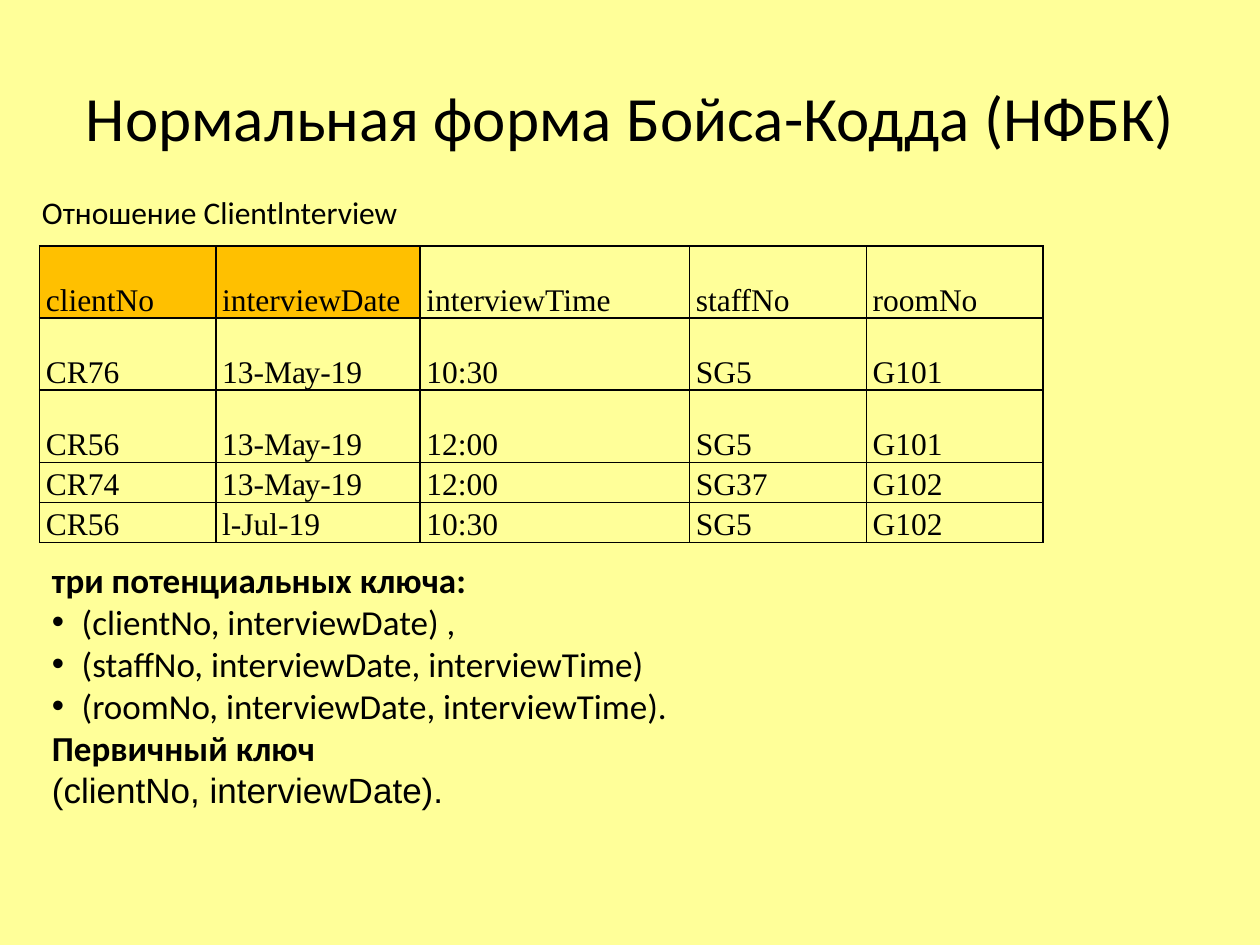
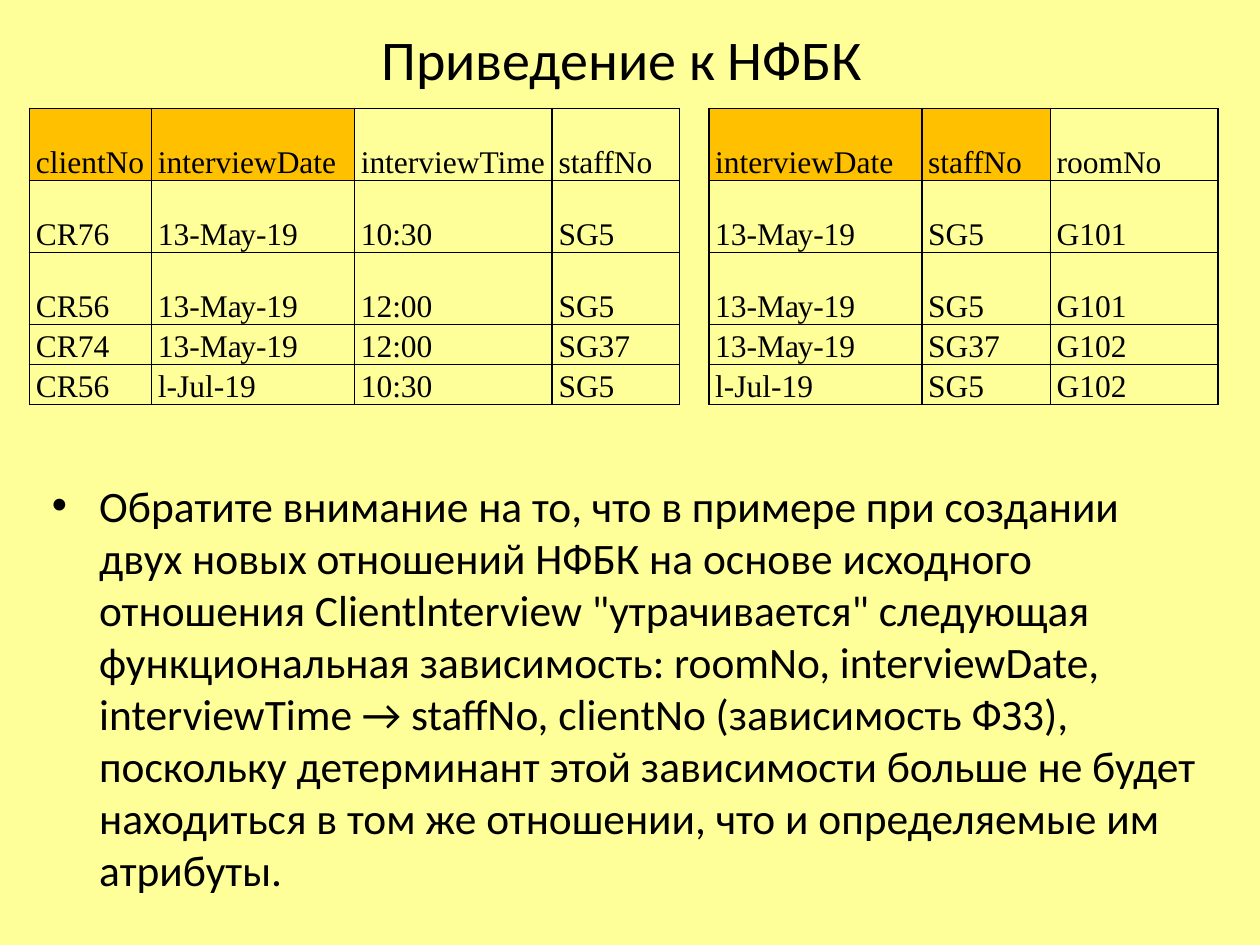
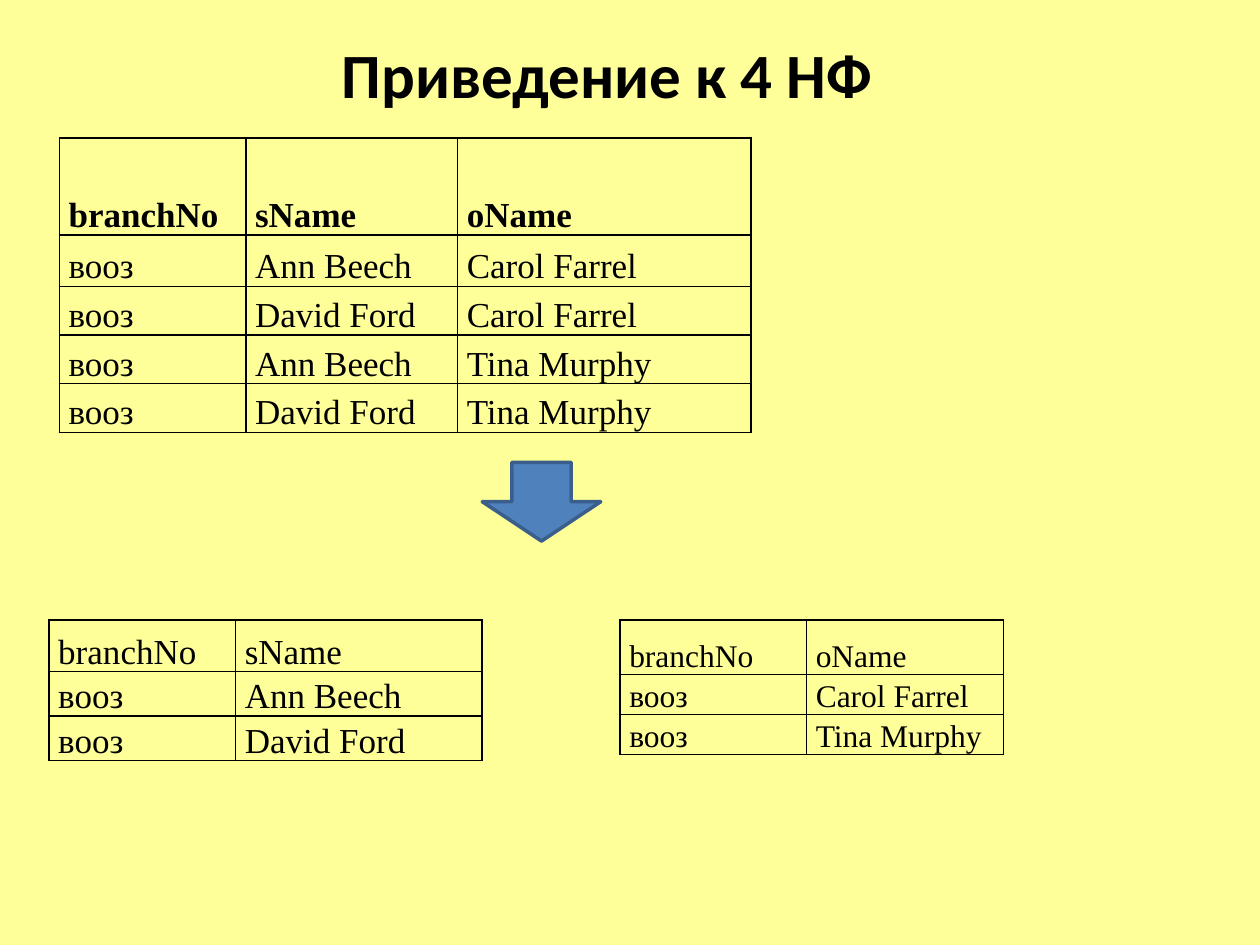
"""Build three slides on the Boyce-Codd and fourth normal forms."""
from dataclasses import dataclass

from lxml import etree
from pptx import Presentation
from pptx.dml.color import RGBColor
from pptx.enum.shapes import MSO_SHAPE
from pptx.enum.text import MSO_ANCHOR, PP_ALIGN
from pptx.oxml.ns import qn
from pptx.util import Pt

TOP, MIDDLE, BOTTOM = MSO_ANCHOR.TOP, MSO_ANCHOR.MIDDLE, MSO_ANCHOR.BOTTOM
LEFT, CENTER = PP_ALIGN.LEFT, PP_ALIGN.CENTER
DOWN = MSO_SHAPE.DOWN_ARROW


@dataclass(frozen=True)
class Theme:
    """Colours, fonts and type sizes of the deck."""
    paper: RGBColor = RGBColor(0xFF, 0xFF, 0x99)
    ink: RGBColor = RGBColor(0, 0, 0)
    key: RGBColor = RGBColor(0xFF, 0xC0, 0x00)
    arrow: RGBColor = RGBColor(0x4F, 0x81, 0xBD)
    edge: RGBColor = RGBColor(0x3A, 0x5F, 0x8C)
    sans: str = "Calibri"
    plain: str = "Arial"
    serif: str = "Times New Roman"
    title: float = 36
    title_small: float = 32
    body: float = 24.8
    text: float = 20
    small: float = 18


theme = Theme()


def write(slide, box, lines, size, anchor=TOP, align=LEFT, bold=(), bullets=(), indent=0):
    frame = slide.shapes.add_textbox(*map(Pt, box)).text_frame
    frame.word_wrap = True
    frame.vertical_anchor = anchor
    frame.text = "\n".join(lines)
    for i, para in enumerate(frame.paragraphs):
        para.alignment = align
        style = para.runs[0].font
        style.name, style.size, style.bold = theme.sans, Pt(size), i in bold
        style.color.rgb = theme.ink
        if i in bullets:
            props = para._p.get_or_add_pPr()
            props.set("marL", str(Pt(indent)))
            props.set("indent", str(-Pt(indent)))
            etree.SubElement(props, qn("a:buFont"), typeface=theme.plain)
            etree.SubElement(props, qn("a:buChar"), char="•")
    return frame


def grid(slide, left, top, widths, heights, rows, size=theme.small, pad=3.6, keys=0, bold=False):
    table = slide.shapes.add_table(len(rows), len(widths), Pt(left), Pt(top),
                                   Pt(sum(widths)), Pt(sum(heights))).table
    table.first_row = table.horz_banding = False
    for col, width in zip(table.columns, widths):
        col.width = Pt(width)
    for r, row in enumerate(rows):
        table.rows[r].height = Pt(heights[r])
        for c, value in enumerate(row):
            cell = table.cell(r, c)
            cell.margin_left = cell.margin_right = Pt(pad)
            cell.margin_top = cell.margin_bottom = 0
            cell.vertical_anchor = BOTTOM
            props = cell._tc.get_or_add_tcPr()
            for side in ("lnL", "lnR", "lnT", "lnB"):
                line = etree.SubElement(props, qn(f"a:{side}"), w=str(Pt(1)))
                fill = etree.SubElement(line, qn("a:solidFill"))
                etree.SubElement(fill, qn("a:srgbClr"), val=str(theme.ink))
            if r == 0 and c < keys:
                cell.fill.solid()
                cell.fill.fore_color.rgb = theme.key
            else:
                cell.fill.background()
            cell.text_frame.text = value
            para = cell.text_frame.paragraphs[0]
            para.line_spacing = 1.06
            para.space_after = Pt(10)
            style = para.runs[0].font
            style.name, style.size, style.bold = theme.serif, Pt(size), bold and r == 0
            style.color.rgb = theme.ink


meetings = [
    ("clientNo", "interviewDate", "interviewTime", "staffNo", "roomNo"),
    ("CR76", "13-Мау-19", "10:30", "SG5", "G101"),
    ("CR56", "13-Мау-19", "12:00", "SG5", "G101"),
    ("CR74", "13-Мау-19", "12:00", "SG37", "G102"),
    ("CR56", "l-Jul-19", "10:30", "SG5", "G102"),
]
branches = [
    ("branchNo", "sName", "oName"),
    ("вооз", "Ann Beech", "Carol Farrel"),
    ("вооз", "David Ford", "Carol Farrel"),
    ("вооз", "Ann Beech", "Tina Murphy"),
    ("вооз", "David Ford", "Tina Murphy"),
]
tall = [41.2, 41.2, 41.2, 22.3, 20.9]

deck = Presentation()
deck.slide_width, deck.slide_height = Pt(720), Pt(540)
paper = deck.slide_master.background.fill
paper.solid()
paper.fore_color.rgb = theme.paper

titles = [
    ("Нормальная форма Бойса-Кодда (НФБК)", 648, 90, theme.title, ()),
    ("Приведение к НФБК", 639, 23, theme.title_small, ()),
    ("Приведение к 4 НФ", 622, 40.3, theme.title, (0,)),
]
slides = []
for title, width, height, size, bold in titles:
    slide = deck.slides.add_slide(deck.slide_layouts[6])
    write(slide, (36, 21.6, width, height), [title], size, MIDDLE, CENTER, bold)
    slides.append(slide)
boyce, split, fourth = slides

grid(boyce, 22.6, 140.6, [100.8, 116.7, 154, 101, 101], tall, meetings, keys=2)
notes = write(boyce, (22.6, 315, 669.6, 152.6), [
    "три потенциальных ключа:",
    "(clientNo, interviewDate) ,",
    "(staffNo, interviewDate, interviewTime)",
    "(roomNo, interviewDate, interviewTime).",
    "Первичный ключ",
    "(clientNo, interviewDate).",
], theme.text, MIDDLE, bold=(0, 4), bullets=(1, 2, 3), indent=17)
notes.paragraphs[-1].runs[0].font.name = theme.plain
write(boyce, (16.9, 106.6, 224.6, 28.8), ["Отношение Clientlnterview"], theme.small)

grid(split, 16.9, 61.9, [69.8, 115.9, 113, 72.7], tall, [row[:4] for row in meetings], keys=2)
rooms = [(day, staff, room) for _, day, _, staff, room in meetings]
grid(split, 405.1, 61.9, [121.7, 73.4, 95.8], tall, rooms, keys=2)
remark = write(split, (22.6, 270, 669.6, 202.3), [
    "Обратите внимание на то, что в примере при создании двух новых отношений НФБК "
    "на основе исходного отношения Clientlnterview \"утрачивается\" следующая "
    "функциональная зависимость: roomNo, interviewDate, interviewTime → staffNo, "
    "clientNo (зависимость ФЗ3), поскольку детерминант этой зависимости больше не "
    "будет находиться в том же отношении, что и определяемые им атрибуты.",
], theme.body, bullets=(0,), indent=27)
remark.paragraphs[0].space_before = Pt(2)

grid(fourth, 34, 78.8, [106.6, 121, 167.5], [55.4, 29.5, 27.8, 27.8, 27.8], branches,
     theme.text, 5.2, bold=True)
staff = list(dict.fromkeys((branch, name) for branch, name, _ in branches))
owners = list(dict.fromkeys((branch, name) for branch, _, name in branches))
grid(fourth, 28.1, 354.3, [106.6, 140.8], [29.5, 15.8, 15.1], staff, theme.text, 5.2)
grid(fourth, 354.4, 354.3, [106.6, 112.6], [31, 18, 13], owners, pad=5.2)
arrow = fourth.shapes.add_shape(DOWN, Pt(275.6), Pt(264.2), Pt(67.7), Pt(45))
arrow.shadow.inherit = False
arrow.fill.solid()
arrow.fill.fore_color.rgb = theme.arrow
arrow.line.color.rgb = theme.edge
arrow.line.width = Pt(2)

deck.save("out.pptx")
